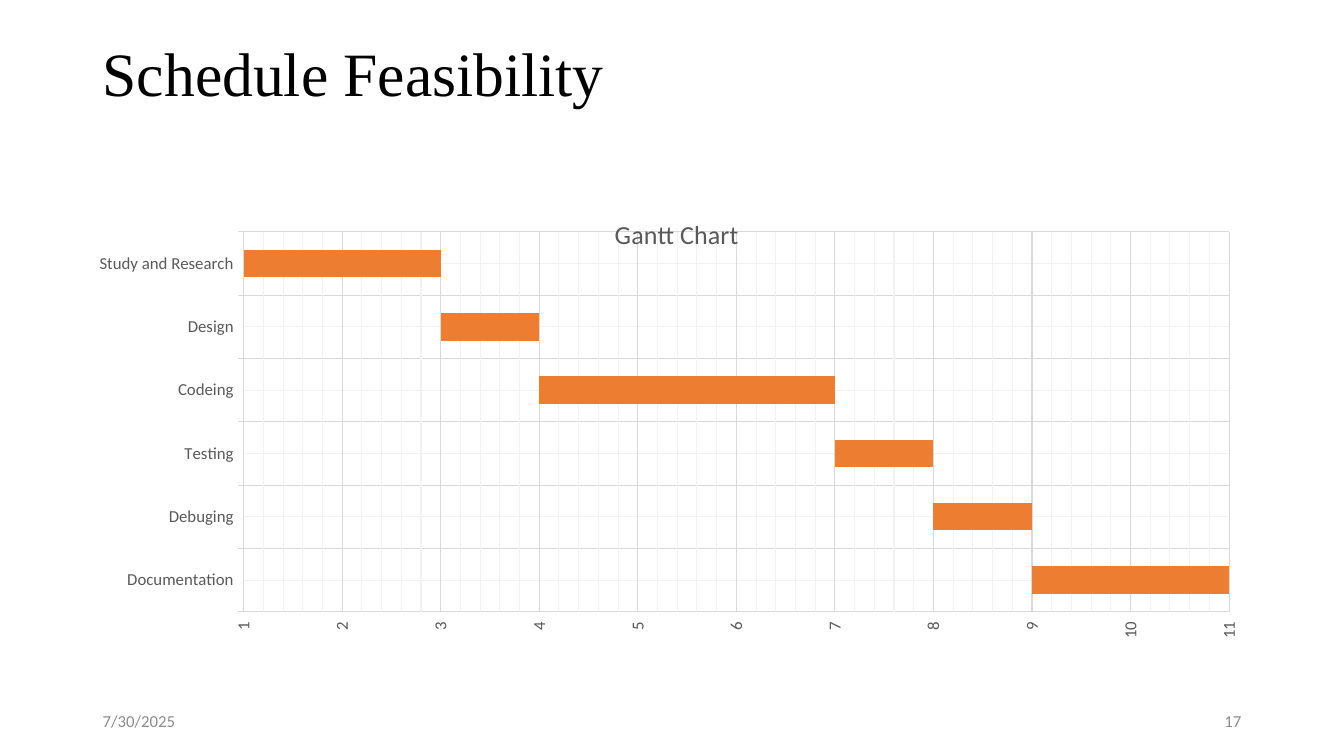
"""Build the schedule feasibility slide with its Gantt chart."""
from pptx import Presentation
from pptx.chart.data import CategoryChartData
from pptx.dml.color import RGBColor
from pptx.enum.chart import XL_CHART_TYPE, XL_TICK_LABEL_POSITION, XL_TICK_MARK
from pptx.enum.text import MSO_ANCHOR, PP_ALIGN
from pptx.oxml import parse_xml
from pptx.oxml.ns import nsdecls, qn
from pptx.util import Inches, Pt

STACKED = XL_CHART_TYPE.BAR_STACKED
LABELS_HIGH = XL_TICK_LABEL_POSITION.HIGH
TICK_NONE, TICK_OUT = XL_TICK_MARK.NONE, XL_TICK_MARK.OUTSIDE
TOP, MIDDLE = MSO_ANCHOR.TOP, MSO_ANCHOR.MIDDLE
LEFT, RIGHT = PP_ALIGN.LEFT, PP_ALIGN.RIGHT
COLORS = {"title": "000000", "footer": "8C8C8C", "label": "595959",
          "major": "D9D9D9", "minor": "F2F2F2", "task": "ED7D31"}
TASKS = [("Study and Research", 1, 2), ("Design", 3, 1), ("Codeing", 4, 3),
         ("Testing", 7, 1), ("Debuging", 8, 1), ("Documentation", 9, 2)]


def set_font(font, name, size, color):
    font.name = name
    font.size = Pt(size)
    font.bold = False
    font.color.rgb = RGBColor.from_string(COLORS[color])


def set_line(line, color):
    line.width = Pt(0.75)
    line.color.rgb = RGBColor.from_string(COLORS[color])


deck = Presentation()
deck.slide_width, deck.slide_height = Inches(13.33), Inches(7.5)
page = deck.slides.add_slide(deck.slide_layouts[6])

texts = [
    ("Schedule Feasibility", 0.92, 0.38, 11.5, 1.45, TOP, LEFT,
     "Times New Roman", 44, "title"),
    ("7/30/2025", 0.92, 6.95, 3, 0.4, MIDDLE, LEFT, "Calibri", 12, "footer"),
    ("17", 9.41, 6.95, 3, 0.4, MIDDLE, RIGHT, "Calibri", 12, "footer"),
]
for text, left, top, width, height, anchor, align, name, size, color in texts:
    box = page.shapes.add_textbox(Inches(left), Inches(top), Inches(width), Inches(height))
    frame = box.text_frame
    frame.word_wrap = True
    frame.vertical_anchor = anchor
    para = frame.paragraphs[0]
    para.text = text
    para.alignment = align
    para.line_spacing = 0.9 if color == "title" else 1.0
    set_font(para.font, name, size, color)

data = CategoryChartData()
data.categories = [task for task, start, length in TASKS]
data.add_series("Series 1", [start for task, start, length in TASKS])
data.add_series("Series 2", [length for task, start, length in TASKS])
chart = page.shapes.add_chart(STACKED, Inches(0.91), Inches(2), Inches(11.5),
                              Inches(4.76), data).chart
set_font(chart.font, "Calibri", 10, "title")
chart.has_legend = False
chart.has_title = True
heading = chart.chart_title.text_frame.paragraphs[0]
heading.text = "Gantt Chart"
set_font(heading.font, "Calibri", 18.6, "label")

plot = chart.plots[0]
plot.gap_width, plot.overlap = 130, 100
plot.vary_by_categories = False
starts, lengths = plot.series
starts.format.fill.background()
starts.format.line.fill.background()
lengths.format.fill.solid()
lengths.format.fill.fore_color.rgb = RGBColor.from_string(COLORS["task"])

task_axis, week_axis = chart.category_axis, chart.value_axis
for axis in (task_axis, week_axis):
    set_font(axis.tick_labels.font, "Calibri", 12, "label")
    axis.has_major_gridlines = True
    set_line(axis.major_gridlines.format.line, "major")
    axis.has_minor_gridlines = True
    axis.minor_tick_mark = TICK_NONE
    axis._element.find(qn("c:minorGridlines")).append(parse_xml(
        f'<c:spPr {nsdecls("c", "a")}><a:ln w="9525"><a:solidFill>'
        f'<a:srgbClr val="{COLORS["minor"]}"/></a:solidFill></a:ln></c:spPr>'))
task_axis.reverse_order = True
task_axis.major_tick_mark = TICK_OUT
set_line(task_axis.format.line, "major")
week_axis.minimum_scale, week_axis.maximum_scale = 1, 11
week_axis.major_unit, week_axis.minor_unit = 1, 0.2
week_axis.major_tick_mark = TICK_NONE
week_axis.tick_label_position = LABELS_HIGH
week_axis.format.line.fill.background()
week_axis.tick_labels.number_format = "General"
week_axis.tick_labels.number_format_is_linked = False
label_body = week_axis._element.find(qn("c:txPr")).find(qn("a:bodyPr"))
label_body.set("rot", "-5400000")
label_body.set("vert", "horz")

plot_area = task_axis._element.getparent()
title = chart.chart_title._element
layouts = [
    (plot_area, 0, '<c:layoutTarget val="inner"/>',
     {"x": 0.131, "y": 0.063, "w": 0.85, "h": 0.792}),
    (title, 1, "", {"x": 0.447, "y": 0.02}),
]
for part, position, target, places in layouts:
    for layout in part.findall(qn("c:layout")):
        part.remove(layout)
    values = "".join(f'<c:{key} val="{value}"/>' for key, value in places.items())
    part.insert(position, parse_xml(
        f'<c:layout {nsdecls("c")}><c:manualLayout>{target}<c:xMode val="edge"/>'
        f'<c:yMode val="edge"/>{values}</c:manualLayout></c:layout>'))

deck.save("out.pptx")
